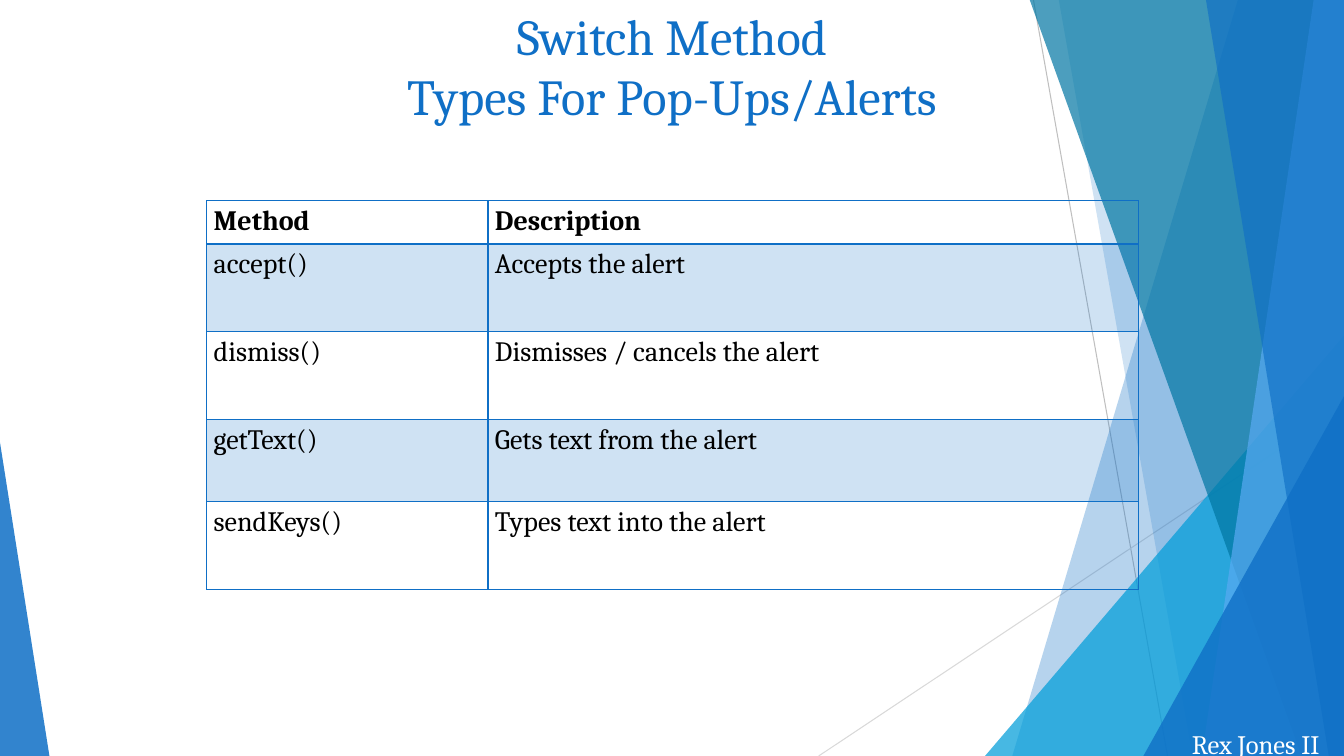
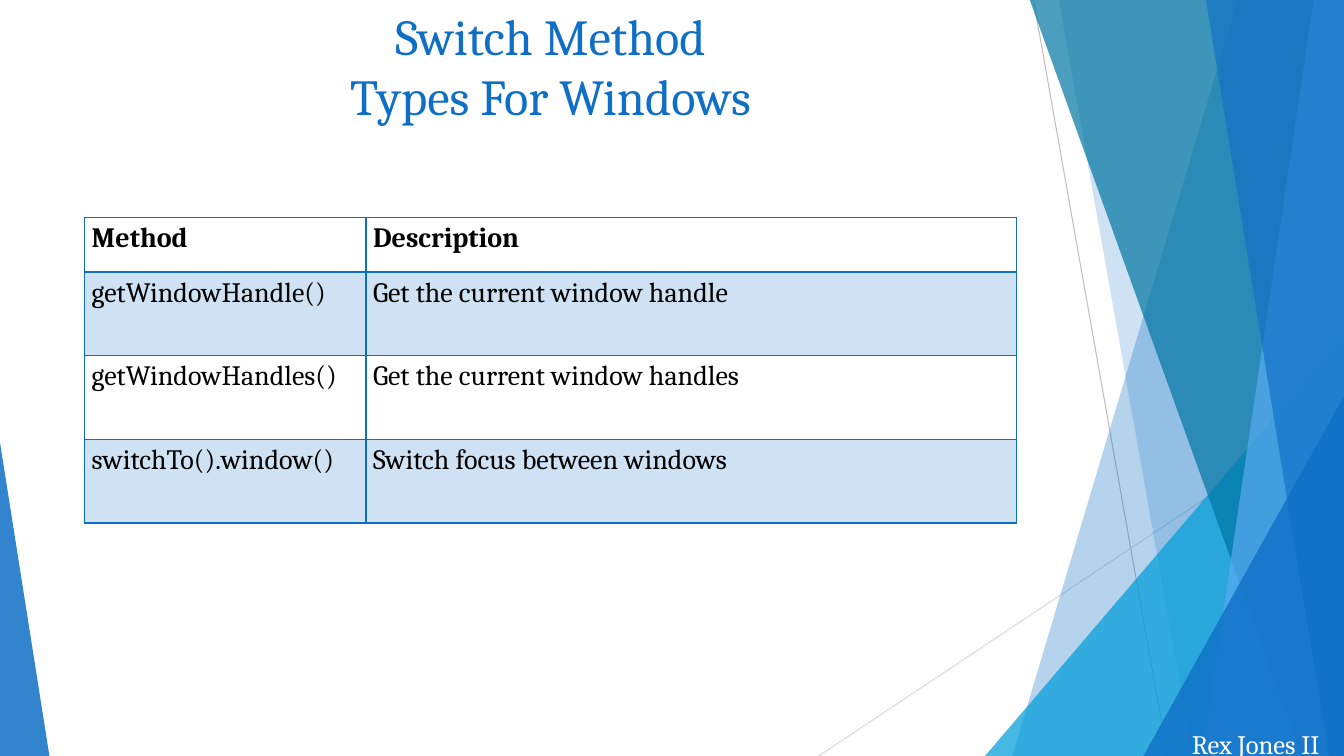
from lxml import etree
from pptx import Presentation
from pptx.dml.color import RGBColor
from pptx.enum.shapes import MSO_CONNECTOR, MSO_SHAPE
from pptx.enum.text import MSO_ANCHOR, MSO_AUTO_SIZE, PP_ALIGN
from pptx.oxml.ns import qn
from pptx.util import Pt

PX = 9144
WIDE, HIGH = 1333, 750
FONT = "Cambria"
COLORS = {
    "blue": "0F6FC6",
    "cyan": "009DD9",
    "teal": "0076A3",
    "sky": "59AAF2",
    "gray": "BFBFBF",
    "pale": "D9D9D9",
    "black": "000000",
    "white": "FFFFFF",
}
CENTER = PP_ALIGN.CENTER
TOP = MSO_ANCHOR.TOP
FIXED = MSO_AUTO_SIZE.NONE
LINE = MSO_CONNECTOR.STRAIGHT
WEDGE = MSO_SHAPE.ISOSCELES_TRIANGLE

TITLE = {"size": Pt(36), "name": FONT, "bold": False}
NAME = {"size": Pt(19), "name": FONT}
CELL = {"size": Pt(20), "name": FONT}
SPACING = {"line_spacing": 1.15, "space_after": Pt(10)}
INSETS = {
    "margin_left": 7 * PX,
    "margin_right": 7 * PX,
    "margin_top": 0,
    "margin_bottom": 0,
    "vertical_anchor": TOP,
}
COLS = [279, 645]
HEAD = ("Method", "Description")

RAYS = [(1025, 0, 1158, HIGH, "gray"), (WIDE, 403, 812, HIGH, "pale")]
PANELS = [
    ("band", 1228, 1004, "blue", 30),
    ("band", 1050, 1183, "blue", 20),
    ("wedge", (977, 333, 356, 417), 1, "cyan", 72),
    ("band", 1021, 1291, "teal", 70),
    ("band", 1303, 1192, "sky", 70),
    ("band", 1196, 1318, "blue", 65),
    ("wedge", (1134, 393, 199, 357), 1, "blue", 80),
    ("wedge", (0, 439, 49, 311), 0, "blue", 85),
]


def rgb(key):
    return RGBColor.from_string(COLORS[key])


def scale(box):
    return [n * PX for n in box]


def put(item, values):
    for key, value in values.items():
        setattr(item, key, value)


def style(font, values, color):
    put(font, values)
    font.color.rgb = rgb(color)


def tint(fill, props, color, alpha):
    fill.solid()
    fill.fore_color.rgb = rgb(color)
    tone = props.find(qn("a:solidFill")).find(qn("a:srgbClr"))
    etree.SubElement(tone, qn("a:alpha"), val=str(alpha * 1000))


def paint(shape, color, alpha):
    shape.shadow.inherit = False
    shape.line.fill.background()
    tint(shape.fill, shape.element.spPr, color, alpha)


def ray(shapes, x1, y1, x2, y2, color):
    line = shapes.add_connector(LINE, *scale((x1, y1, x2, y2)))
    line.line.color.rgb = rgb(color)
    line.line.width = Pt(0.75)
    etree.SubElement(line.element.spPr, qn("a:effectLst"))


def band(shapes, top, foot, color, alpha):
    edge = shapes.build_freeform(top, -1, scale=PX)
    edge.add_line_segments([(WIDE, -1), (WIDE, HIGH), (foot, HIGH)])
    paint(edge.convert_to_shape(), color, alpha)


def wedge(shapes, box, tip, color, alpha):
    shape = shapes.add_shape(WEDGE, *scale(box))
    shape.adjustments[0] = tip
    paint(shape, color, alpha)


def sign(shapes, text):
    box = shapes.add_textbox(*scale((1162, 717, 167, 42)))
    box.text_frame.word_wrap = False
    para = box.text_frame.paragraphs[0]
    para.text = text
    para.alignment = CENTER
    style(para.font, NAME, "white")


def decor(slide, layout):
    group = slide.shapes.add_group_shape()
    for item in RAYS:
        ray(group.shapes, *item)
    draw = {"band": band, "wedge": wedge}
    for kind, *args in PANELS:
        draw[kind](group.shapes, *args)
    sign(group.shapes, "Rex Jones II")
    for num, node in enumerate(group.element.iter(qn("p:cNvPr")), 100):
        node.set("id", str(num))
    layout.shapes.element.append(group.element)


def title(slide, lines, left, width):
    shape = slide.shapes.title
    box = scale((left, 0, width, 117))
    put(shape, dict(zip(("left", "top", "width", "height"), box)))
    frame = shape.text_frame
    put(frame, {"auto_size": FIXED, "vertical_anchor": TOP, "word_wrap": True})
    para = frame.paragraphs[0]
    para.text = "\v".join(lines)
    para.alignment = CENTER
    style(para.font, TITLE, "blue")


def border(props, side, width):
    line = etree.SubElement(props, qn("a:ln" + side), w=str(Pt(width)))
    fill = etree.SubElement(line, qn("a:solidFill"))
    etree.SubElement(fill, qn("a:srgbClr"), val=COLORS["blue"])


def entry(cell, text, row):
    put(cell, INSETS)
    para = cell.text_frame.paragraphs[0]
    para.text = text
    put(para, SPACING)
    style(para.font, CELL | {"bold": row == 0}, "black")
    props = cell._tc.get_or_add_tcPr()
    thick = {0: "B", 1: "T"}.get(row)
    for side in "LRTB":
        border(props, side, 2 if side == thick else 1)
    if row % 2:
        tint(cell.fill, props, "blue", 20)
    else:
        cell.fill.background()


def grid(slide, left, top, rows, highs):
    data = [HEAD, *rows]
    box = scale((left, top, sum(COLS), sum(highs)))
    table = slide.shapes.add_table(len(data), len(COLS), *box).table
    put(table, {"first_row": False, "horz_banding": False})
    for col, width in zip(table.columns, COLS):
        col.width = width * PX
    for row, high in zip(table.rows, highs):
        row.height = high * PX
    for r, texts in enumerate(data):
        for c, text in enumerate(texts):
            entry(table.cell(r, c), text, r)


def main():
    deck = Presentation()
    put(deck, {"slide_width": WIDE * PX, "slide_height": HIGH * PX})
    layout = deck.slide_layouts[5]

    alerts = deck.slides.add_slide(layout)
    decor(alerts, layout)
    title(alerts, ("Switch Method", "Types For Pop-Ups/Alerts"), 0, WIDE)
    grid(alerts, 205, 199, [
        ("accept()", "Accepts the alert"),
        ("dismiss()", "Dismisses / cancels the alert"),
        ("getText()", "Gets text from the alert"),
        ("sendKeys()", "Types text into the alert"),
    ], [43, 87, 87, 82, 87])

    windows = deck.slides.add_slide(layout)
    title(windows, ("Switch Method", "Types For Windows"), 107, 878)
    grid(windows, 84, 216, [
        ("getWindowHandle()", "Get the current window handle"),
        ("getWindowHandles()", "Get the current window handles"),
        ("switchTo().window()", "Switch focus between windows"),
    ], [54, 83, 83, 83])

    deck.save("out.pptx")


if __name__ == "__main__":
    main()
